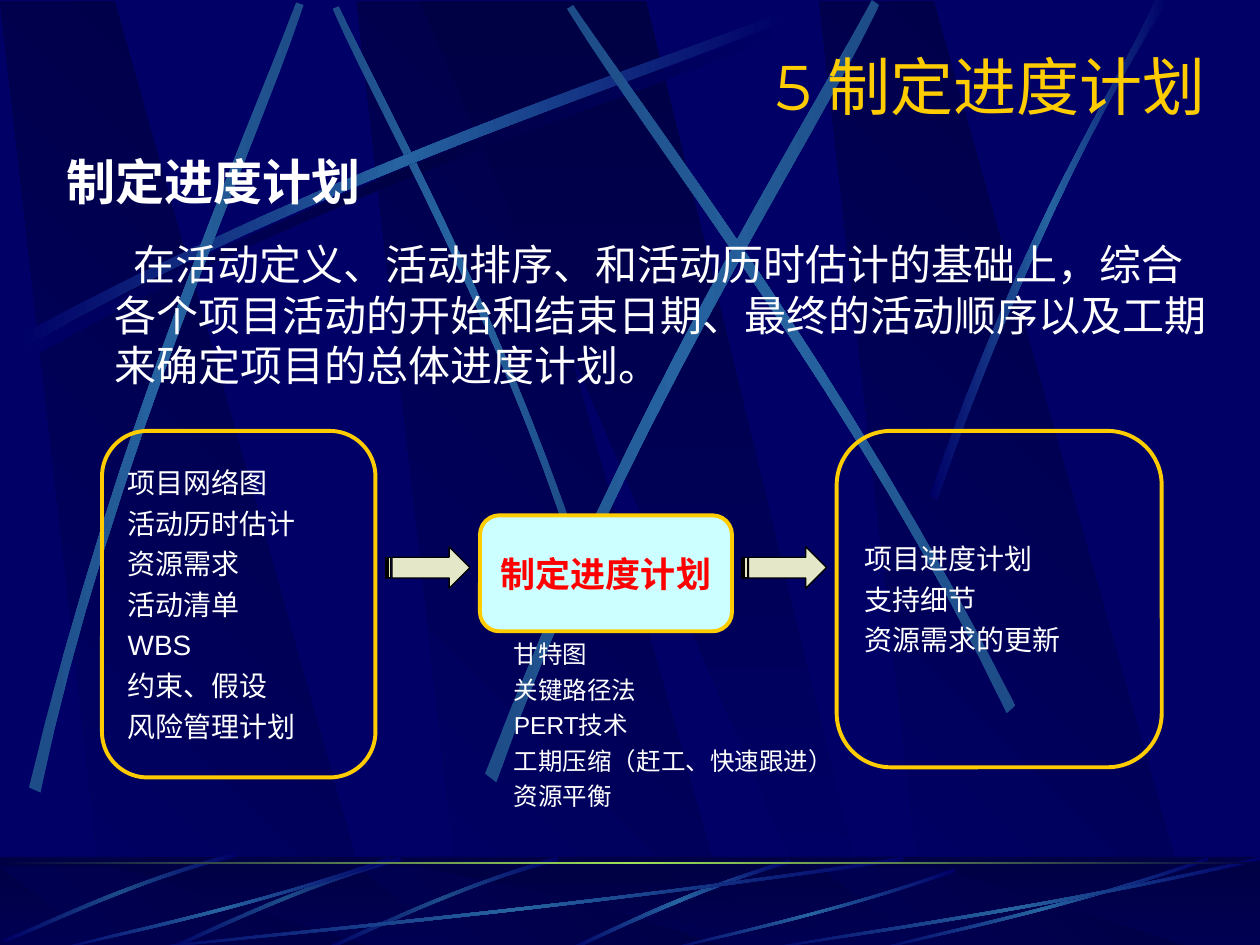
from copy import deepcopy

from lxml.etree import SubElement
from pptx import Presentation
from pptx.dml.color import RGBColor
from pptx.enum.shapes import MSO_SHAPE
from pptx.enum.text import MSO_ANCHOR, PP_ALIGN
from pptx.oxml.ns import qn
from pptx.util import Cm, Pt

COLORS = {
    "navy": "000066", "dark": "000044", "streak": "2663A0", "dim": "1D4C88",
    "green": "9CE157", "gold": "FFCC00", "white": "FFFFFF", "red": "FF0000",
    "pale": "CCFFFF", "arrow": "E4E8C8", "black": "000000",
}
UNIT = 2.54  # one layout unit in centimetres; the slide is 10 x 7.5 units
FINE = 1000  # freeform steps per layout unit

# Light streaks: the two long edges, each a cubic curve (start, control, control, end)
FADING = ("navy", "streak", "navy")
STEADY = ("dim", "streak", "dim")
FAINT = ("navy", "dim", "navy")
SHADE = ("navy", "dark", "navy")
UPPER_STREAKS = [
    (SHADE, [(0.2, 2.75), (2.84, 1.34), (5.24, 0.59), (6.26, 0.18)],
     [(6.29, 0.24), (5.28, 0.69), (2.54, 1.51), (0.23, 2.85)]),
    (STEADY, [(4.6, 4.36), (3.91, 2.34), (3.02, 0.77), (2.69, 0.05)],
     [(2.64, 0.07), (2.95, 0.79), (3.98, 2.58), (4.54, 4.39)]),
    (FADING, [(0.14, 2.67), (2.78, 1.25), (5.18, 0.51), (6.2, 0.1)],
     [(6.23, 0.16), (5.22, 0.61), (2.48, 1.43), (0.17, 2.77)]),
    (STEADY, [(0.23, 6.25), (0.93, 3.34), (1.97, 1.05), (2.35, 0.02)],
     [(2.41, 0.04), (2.07, 1.08), (0.86, 3.68), (0.32, 6.29)]),
    (STEADY, [(3.85, 6.14), (4.98, 3.2), (6.38, 1.02), (6.92, 0)],
     [(6.98, 0.04), (6.49, 1.08), (4.86, 3.55), (3.94, 6.21)]),
    (STEADY, [(8.06, 5.6), (6.7, 2.93), (5.16, 0.95), (4.55, 0.04)],
     [(4.5, 0.07), (5.07, 1.01), (6.85, 3.25), (7.99, 5.66)]),
    (FADING, [(7.38, 3.93), (8.14, 1.73), (8.88, 0.66), (9.17, 0)],
     [(9.27, 0), (8.36, 1.45), (7.69, 3.22), (7.44, 3.97)]),
]
SHORT_STREAK = (FAINT, [(4.42, 6.8), (3.55, 7.05), (2.87, 7.4), (2.56, 7.53)],
                [(2.57, 7.55), (2.88, 7.43), (3.65, 7.03), (4.44, 6.83)])
FIRST_STREAK = (FAINT, [(1.86, 6.77), (0.99, 7), (0.33, 7.34), (0.02, 7.46)],
                [(0.03, 7.48), (0.34, 7.37), (1.1, 6.98), (1.88, 6.8)])
MIDDLE_STREAK = (FADING, [(6.27, 6.82), (5.37, 7.09), (4.77, 7.42), (4.48, 7.54)],
                 [(4.53, 7.55), (4.9, 7.37), (5.71, 7), (6.28, 6.85)])
# Lower streaks of one form: left edge, width, top edge
FLAT_STREAKS = [(1, 6.17, 6.8), (0.42, 2.67, 6.8), (5.27, 2.31, 6.89),
                (6.92, 2.67, 6.8), (6, 4, 6.8)]


def color(name):
    return RGBColor.from_string(COLORS[name])


def length(units):
    return Cm(UNIT * units)


def curve(points, steps=16):
    """Points along a cubic curve."""
    result = []
    for step in range(steps + 1):
        t = step / steps
        weights = ((1 - t) ** 3, 3 * t * (1 - t) ** 2, 3 * t * t * (1 - t), t ** 3)
        result.append(tuple(sum(w * point[axis] for w, point in zip(weights, points))
                            for axis in (0, 1)))
    return result


class SlideBuilder:
    font = "Arial"
    border = Pt(2.25)

    def __init__(self, slide):
        self.slide = slide

    def gradient(self, shape, names, angle):
        shape.shadow.inherit = False
        shape.line.fill.background()
        shape.fill.gradient()
        shape.fill.gradient_angle = (360 - angle) % 360
        stops = shape.fill.gradient_stops
        if len(names) == 3:
            stops[0]._gs.addnext(deepcopy(stops[0]._gs))
            stops = shape.fill.gradient_stops
        for index, name in enumerate(names):
            stops[index].color.rgb = color(name)
            stops[index].position = index / (len(names) - 1)

    def outline(self, points, names, angle=0):
        scaled = [(x * FINE, y * FINE) for x, y in points]
        builder = self.slide.shapes.build_freeform(*scaled[0], scale=Cm(UNIT) / FINE)
        builder.add_line_segments(scaled[1:], close=True)
        self.gradient(builder.convert_to_shape(), names, angle)

    def streak(self, names, upper, lower, shift=0):
        points = curve(upper) + curve(lower)
        self.outline([(x + shift, y) for x, y in points], names)

    def wedges(self, top, bottom):
        for left in (2.83, 0, 6.5):
            self.outline([(left + 0.86, bottom), (left + 3.02, bottom),
                          (left + 0.91, top), (left, top)], ("dark", "navy"), 135)
        self.outline([(3.33, top), (6.58, bottom), (6.94, bottom), (5.13, top)],
                     ("dark", "navy"), 90)

    def shape(self, kind, box, fill=None, line=None, width=None):
        shape = self.slide.shapes.add_shape(kind, *map(length, box))
        shape.shadow.inherit = False
        for target, name in ((shape.fill, fill), (shape.line.fill, line)):
            if name:
                target.solid()
                target.fore_color.rgb = color(name)
            else:
                target.background()
        if width:
            shape.line.width = width
        return shape

    def run(self, paragraph, text, size, name="white", bold=False, font=None):
        run = paragraph.add_run()
        run.text = text
        run.font.size, run.font.bold = Pt(size), bold
        run.font.name = font or self.font
        run.font.color.rgb = color(name)

    def lines(self, shape, texts, size, gap, wrap=True):
        frame = shape.text_frame
        frame.word_wrap = wrap
        frame.vertical_anchor = MSO_ANCHOR.MIDDLE
        for index, text in enumerate(texts):
            paragraph = frame.add_paragraph() if index else frame.paragraphs[0]
            paragraph.alignment = PP_ALIGN.LEFT
            if index:
                paragraph.space_before = Pt(gap)
            self.run(paragraph, text, size)

    def text_box(self, box):
        shape = self.slide.shapes.add_textbox(*map(length, box))
        shape.text_frame.word_wrap = True
        return shape

    def panel(self, box, texts):
        shape = self.shape(MSO_SHAPE.ROUNDED_RECTANGLE, box, None, "gold", self.border)
        self.lines(shape, texts, 16, 4)

    def title(self, text, box):
        title = self.slide.shapes.title
        title.left, title.top, title.width, title.height = map(length, box)
        title.text_frame.vertical_anchor = MSO_ANCHOR.MIDDLE
        paragraph = title.text_frame.paragraphs[0]
        paragraph.alignment = PP_ALIGN.RIGHT
        self.run(paragraph, text, 36, "gold", font="Montserrat")
        self.slide.shapes._spTree.append(title._element)  # in front of the backdrop

    def backdrop(self):
        fill = self.slide.background.fill
        fill.solid()
        fill.fore_color.rgb = color("navy")
        self.wedges(0.01, 7.52)
        for streak in UPPER_STREAKS:
            self.streak(*streak)
        # Bottom band
        band = (0, 6.8, 10, 0.75)
        self.gradient(self.shape(MSO_SHAPE.RECTANGLE, band), ("dark", "navy"), 90)
        self.wedges(6.88, 7.54)
        veil = self.shape(MSO_SHAPE.RECTANGLE, band, "dark")
        SubElement(veil._element.spPr.find(".//" + qn("a:srgbClr")),
                   qn("a:alpha"), val="50000")
        self.streak(*MIDDLE_STREAK)
        for shift in (0, -1.25):
            self.streak(*SHORT_STREAK, shift=shift)
        self.streak(*FIRST_STREAK)
        for left, width, top in FLAT_STREAKS:
            right, drop = left + width, 7.55 - top
            upper = [(right, top + 0.03), (left + 0.57 * width, top + 0.57 * drop),
                     (left + 0.17 * width, top + 0.85 * drop), (left, 7.55)]
            lower = [(left, 7.54), (left + 0.17 * width, top + 0.81 * drop),
                     (left + 0.62 * width, top + 0.5 * drop), (right, top)]
            self.streak(FADING, upper, lower)
        rule = self.shape(MSO_SHAPE.RECTANGLE, (0, 6.84, 10, 0.02))
        self.gradient(rule, ("dark", "green", "dark"), 0)


def main():
    presentation = Presentation()
    presentation.slide_width, presentation.slide_height = length(10), length(7.5)
    slide = presentation.slides.add_slide(presentation.slide_layouts[5])
    builder = SlideBuilder(slide)
    builder.backdrop()
    builder.title("5 制定进度计划", (1.17, 0.33, 8.5, 0.7))

    # Heading and definition
    frame = builder.text_box((0.43, 1.15, 9.26, 2.48)).text_frame
    builder.run(frame.paragraphs[0], "制定进度计划", 28, bold=True)
    definition = frame.add_paragraph()
    properties = definition._p.get_or_add_pPr()
    properties.set("marL", str(length(0.38)))
    properties.set("indent", str(length(0.15)))
    definition.space_before = Pt(16.5)
    builder.run(definition, "在活动定义、活动排序、和活动历时估计的基础上，综合各个项目活动的开始和结束日期、"
                            "最终的活动顺序以及工期来确定项目的总体进度计划。", 24)

    # Inputs, process, outputs
    builder.panel((0.81, 3.42, 2.17, 2.75), [
        "项目网络图", "活动历时估计", "资源需求", "活动清单", "WBS", "约束、假设", "风险管理计划"])
    process = builder.shape(MSO_SHAPE.ROUNDED_RECTANGLE, (3.81, 4.09, 2, 0.92),
                            "pale", "gold", builder.border)
    process.text_frame.word_wrap = False
    process.text_frame.vertical_anchor = MSO_ANCHOR.MIDDLE
    label = process.text_frame.paragraphs[0]
    label.alignment = PP_ALIGN.CENTER
    builder.run(label, "制定进度计划", 20, "red", bold=True)
    builder.panel((6.64, 3.42, 2.58, 2.67), ["项目进度计划", "支持细节", "资源需求的更新"])
    for left in (3.06, 5.89):
        builder.shape(MSO_SHAPE.STRIPED_RIGHT_ARROW, (left, 4.34, 0.67, 0.33),
                      "arrow", "black", Pt(0.75))

    # Tools and techniques, kept on single lines between the two panels
    tools = builder.text_box((3.98, 5.09, 2.66, 1.33))
    tools.text_frame.margin_right = 0
    builder.lines(tools, ["甘特图", "关键路径法", "PERT技术", "工期压缩（赶工、快速跟进）", "资源平衡"],
                  14, 3.5, wrap=False)
    presentation.save("out.pptx")


if __name__ == "__main__":
    main()
